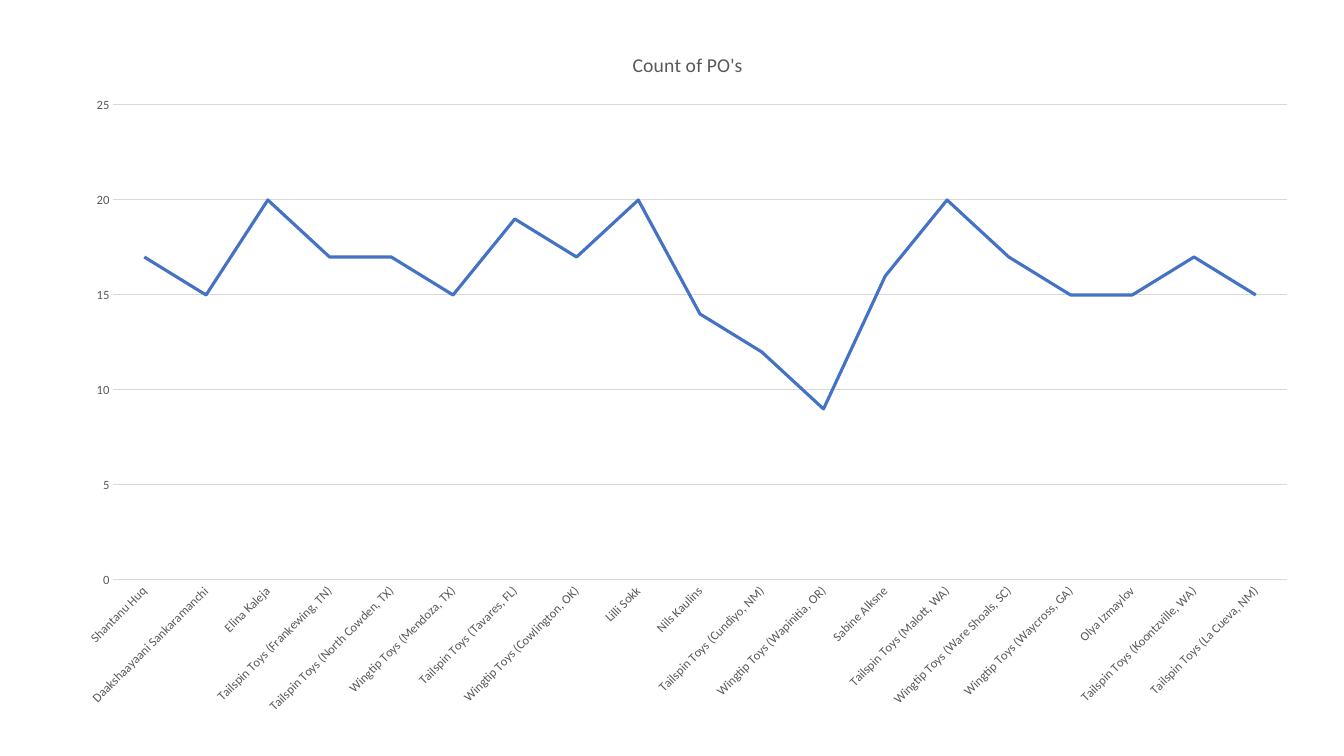
"""Build a slide with a line chart of purchase orders per customer."""
from typing import NamedTuple

from lxml.etree import SubElement
from pptx import Presentation
from pptx.chart.chart import Chart
from pptx.chart.data import CategoryChartData as Data
from pptx.dml.color import RGBColor
from pptx.enum.chart import XL_CHART_TYPE as Kind, XL_TICK_MARK as Tick
from pptx.oxml.ns import qn
from pptx.text.text import Font
from pptx.util import Inches, Pt

BLUE = RGBColor(0x44, 0x72, 0xC4)
GRAY = RGBColor(0x59, 0x59, 0x59)
PALE = RGBColor(0xD9, 0xD9, 0xD9)
TITLE = "Count of PO's"
FRAME = {"xMode": "edge", "yMode": "edge", "x": 0.04, "y": 0.11, "w": 0.94, "h": 0.68}


class Buyer(NamedTuple):
    name: str
    count: int


BUYERS = [
    Buyer("Shantanu Huq", 17),
    Buyer("Daakshaayaani Sankaramanchi", 15),
    Buyer("Elina Kaleja", 20),
    Buyer("Tailspin Toys (Frankewing, TN)", 17),
    Buyer("Tailspin Toys (North Cowden, TX)", 17),
    Buyer("Wingtip Toys (Mendoza, TX)", 15),
    Buyer("Tailspin Toys (Tavares, FL)", 19),
    Buyer("Wingtip Toys (Cowlington, OK)", 17),
    Buyer("Lilli Sokk", 20),
    Buyer("Nils Kaulins", 14),
    Buyer("Tailspin Toys (Cundiyo, NM)", 12),
    Buyer("Wingtip Toys (Wapinitia, OR)", 9),
    Buyer("Sabine Alksne", 16),
    Buyer("Tailspin Toys (Malott, WA)", 20),
    Buyer("Wingtip Toys (Ware Shoals, SC)", 17),
    Buyer("Wingtip Toys (Waycross, GA)", 15),
    Buyer("Olya Izmaylov", 15),
    Buyer("Tailspin Toys (Koontzville, WA)", 17),
    Buyer("Tailspin Toys (La Cueva, NM)", 15),
]


def style(font: Font, size: float) -> None:
    form = {"name": "Calibri", "size": Pt(size), "bold": False}
    for key, val in form.items():
        setattr(font, key, val)
    font.color.rgb = GRAY


def place(chart: Chart) -> None:
    plot = chart._chartSpace.find(".//" + qn("c:plotArea"))
    for old in plot.findall(qn("c:layout")):
        plot.remove(old)
    outer = SubElement(plot, qn("c:layout"))
    plot.insert(0, outer)
    inner = SubElement(outer, qn("c:manualLayout"))
    SubElement(inner, qn("c:layoutTarget"), val="inner")
    for key, val in FRAME.items():
        SubElement(inner, qn("c:" + key), val=str(val))


def set_axes(chart: Chart) -> None:
    cat, val = chart.category_axis, chart.value_axis
    for axis in (cat, val):
        axis.major_tick_mark = axis.minor_tick_mark = Tick.NONE
        style(axis.tick_labels.font, 9)
    for key, num in {"minimum_scale": 0, "maximum_scale": 25, "major_unit": 5}.items():
        setattr(val, key, num)
    val.format.line.fill.background()
    for line in (cat.format.line, val.major_gridlines.format.line):
        line.color.rgb = PALE
        line.width = Pt(0.75)
    cat._element.find(".//" + qn("a:bodyPr")).set("rot", "-2700000")


def draw(chart: Chart) -> None:
    chart.has_legend = False
    style(chart.font, 10)
    chart.has_title = True
    text = chart.chart_title.text_frame
    text.text = TITLE
    style(text.paragraphs[0].runs[0].font, 14)
    chart.chart_title.include_in_layout = False
    set_axes(chart)
    place(chart)
    line = chart.plots[0].series[0]
    line.smooth = False
    line.format.line.color.rgb = BLUE
    line.format.line.width = Pt(2.25)
    chart.plots[0].vary_by_categories = False


def main() -> None:
    deck = Presentation()
    deck.slide_width, deck.slide_height = Inches(13.33), Inches(7.5)
    slide = deck.slides.add_slide(deck.slide_layouts[6])
    data = Data()
    data.categories = [buyer.name for buyer in BUYERS]
    data.add_series(TITLE, [buyer.count for buyer in BUYERS])
    box = [Inches(num) for num in (0.63, 0.28, 12.38, 6.93)]
    draw(slide.shapes.add_chart(Kind.LINE, *box, data).chart)
    deck.save("out.pptx")


if __name__ == "__main__":
    main()
